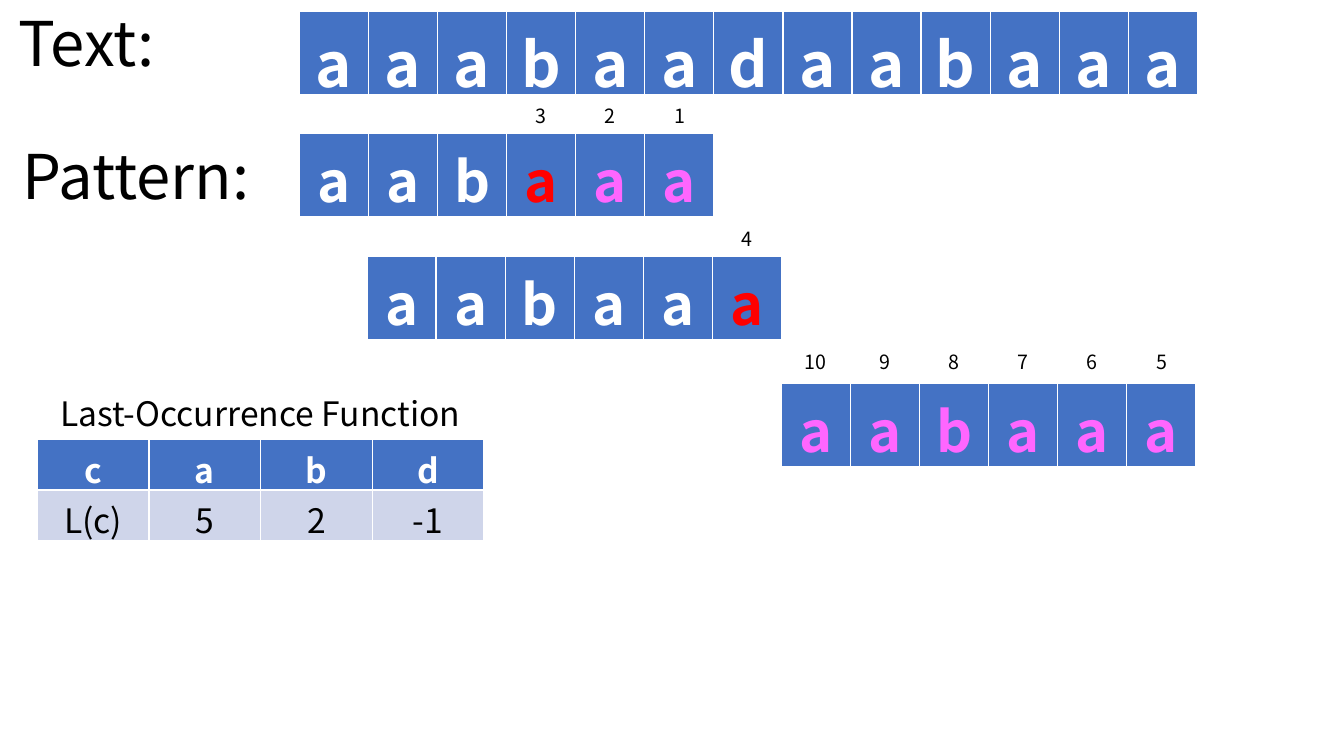
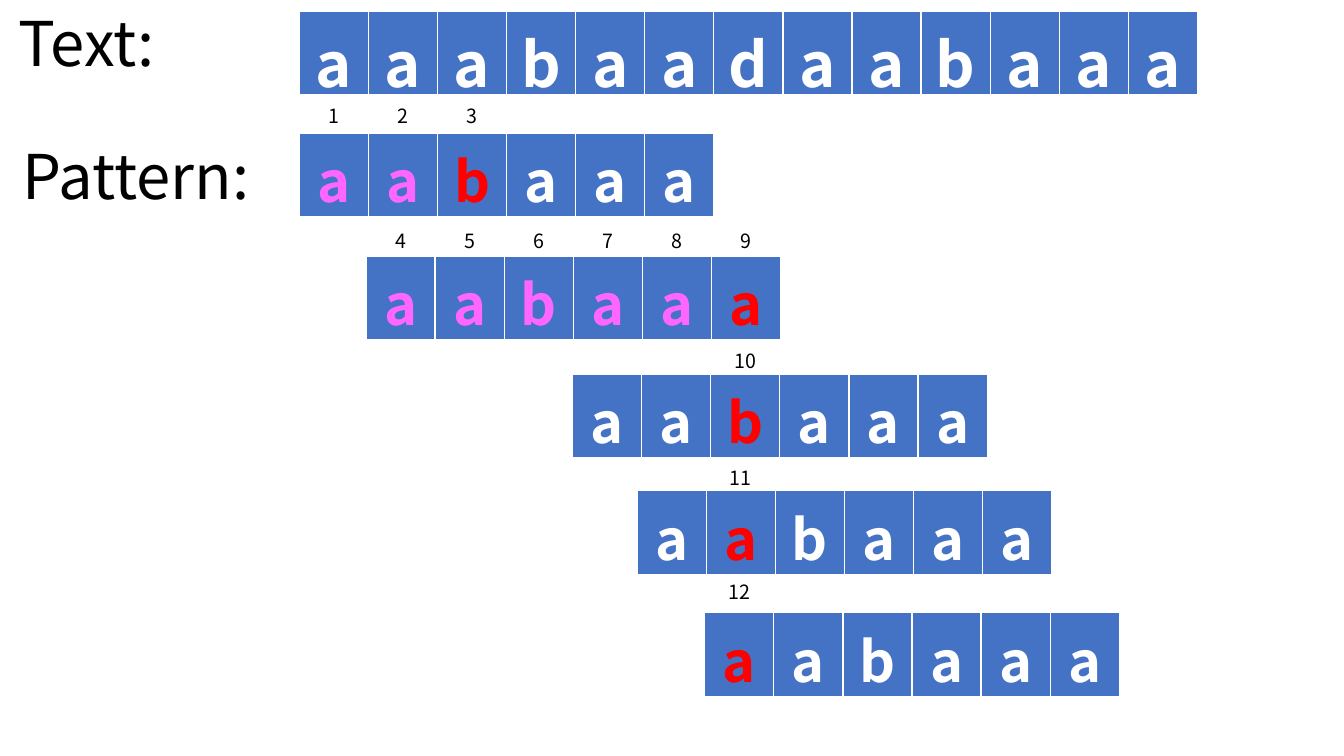
from collections import namedtuple
from itertools import count

from pptx import Presentation
from pptx.dml.color import RGBColor
from pptx.enum.text import MSO_ANCHOR, MSO_AUTO_SIZE, PP_ALIGN
from pptx.util import Inches, Pt

FONT = "Noto Sans CJK KR"
BLACK, WHITE = "000000", "FFFFFF"
HEADER_FILL, BODY_FILL = "4472C4", "CFD5EA"
MATCH, MISMATCH = "FF66FF", "FF0000"

TEXT = "aaabaadaabaaa"
PATTERN = "aabaaa"
LAST_OCCURRENCE = [["c", "a", "b", "d"], ["L(c)", "5", "2", "-1"]]

CELL_WIDTH, CELL_HEIGHT = 8.91 / len(TEXT), 0.83
TEXT_LEFT, TEXT_TOP = 2.97, 0.11
NUMBER_WIDTH, NUMBER_HEIGHT = 0.6, 0.34

Box = namedtuple("Box", "left top width height")
# shift: text column under the pattern's first letter
# visited: pattern columns in the order in which they are compared
Attempt = namedtuple("Attempt", "shift left top number_top visited")

RIGHT_TO_LEFT = [
    Attempt(0, 2.97, 1.32, 0.98, [5, 4, 3]),
    Attempt(1, 3.64, 2.54, 2.2, [5]),
    Attempt(7, 7.75, 3.8, 3.42, [5, 4, 3, 2, 1, 0]),
]
LEFT_TO_RIGHT = [
    Attempt(0, 2.97, 1.32, 0.98, [0, 1, 2]),
    Attempt(1, 3.63, 2.54, 2.22, [0, 1, 2, 3, 4, 5]),
    Attempt(4, 5.68, 3.71, 3.41, [2]),
    Attempt(5, 6.32, 4.87, 4.57, [1]),
    Attempt(6, 6.99, 6.08, 5.7, [0]),
]


def rgb(value):
    """Turn a hex string into a colour."""
    return RGBColor.from_string(value)


def write(frame, text, size, color, bold=False):
    """Put one centred run into a text frame."""
    paragraph = frame.paragraphs[0]
    paragraph.alignment = PP_ALIGN.CENTER
    run = paragraph.add_run()
    run.text = text
    run.font.name = FONT
    run.font.size = Pt(size)
    run.font.bold = bold
    run.font.color.rgb = rgb(color)


def add_label(slide, box, text, size):
    """Add a centred black label in the box."""
    frame = slide.shapes.add_textbox(*map(Inches, box)).text_frame
    frame.word_wrap = True
    frame.auto_size = MSO_AUTO_SIZE.SHAPE_TO_FIT_TEXT
    write(frame, text, size, BLACK)


def add_grid(slide, box, rows):
    """Add an even table of the given rows and return it."""
    table = slide.shapes.add_table(
        len(rows), len(rows[0]), *map(Inches, box)).table
    for column in table.columns:
        column.width = Inches(box.width / len(rows[0]))
    for row in table.rows:
        row.height = Inches(box.height / len(rows))
    return table


def fill_cell(cell, text, size, color=WHITE, fill=HEADER_FILL, bold=True,
              anchor=MSO_ANCHOR.MIDDLE):
    """Fill a cell and write its text."""
    cell.fill.solid()
    cell.fill.fore_color.rgb = rgb(fill)
    cell.vertical_anchor = anchor
    write(cell.text_frame, text, size, color, bold)


def add_letters(slide, left, top, letters, colors, size, anchor):
    """Add a strip with one letter in each cell."""
    box = Box(left, top, CELL_WIDTH * len(letters), CELL_HEIGHT)
    strip = add_grid(slide, box, [letters])
    for column, (letter, color) in enumerate(zip(letters, colors)):
        fill_cell(strip.cell(0, column), letter, size, color, anchor=anchor)


def add_attempt(slide, attempt, numbers):
    """Add the pattern at one shift and number its comparisons."""
    colors = [WHITE] * len(PATTERN)
    for column in attempt.visited:
        same = PATTERN[column] == TEXT[attempt.shift + column]
        colors[column] = MATCH if same else MISMATCH
        center = attempt.left + (column + 0.5) * CELL_WIDTH
        box = Box(center - NUMBER_WIDTH / 2, attempt.number_top,
                  NUMBER_WIDTH, NUMBER_HEIGHT)
        add_label(slide, box, str(next(numbers)), 14)
    add_letters(slide, attempt.left, attempt.top, PATTERN, colors, 40,
                MSO_ANCHOR.TOP)


def add_last_occurrence(slide, box):
    """Add the last-occurrence table with its caption above."""
    caption_height = 0.5
    caption = Box(box.left - 0.17, box.top - caption_height - 0.01,
                  box.width + 0.33, caption_height)
    add_label(slide, caption, "Last-Occurrence Function", 24)
    table = add_grid(slide, box, LAST_OCCURRENCE)
    header, values = LAST_OCCURRENCE
    for column, (letter, value) in enumerate(zip(header, values)):
        fill_cell(table.cell(0, column), letter, 24)
        fill_cell(table.cell(1, column), value, 24, BLACK, BODY_FILL, False)


def add_matching_slide(deck, attempts):
    """Add a slide that traces the attempts below the text."""
    slide = deck.slides.add_slide(deck.slide_layouts[6])
    add_label(slide, Box(-0.26, 0, 2.24, 0.84), "Text:", 44)
    add_label(slide, Box(0, 1.32, 2.7, 0.84), "Pattern:", 44)
    add_letters(slide, TEXT_LEFT, TEXT_TOP, TEXT, [WHITE] * len(TEXT), 44,
                MSO_ANCHOR.MIDDLE)
    numbers = count(1)
    for attempt in attempts:
        add_attempt(slide, attempt, numbers)
    return slide


def main():
    """Build both matching slides and save the deck."""
    deck = Presentation()
    deck.slide_width, deck.slide_height = Inches(13.33), Inches(7.5)
    right_to_left = add_matching_slide(deck, RIGHT_TO_LEFT)
    add_last_occurrence(right_to_left, Box(0.37, 4.36, 4.43, 1))
    add_matching_slide(deck, LEFT_TO_RIGHT)
    deck.save("out.pptx")


main()
